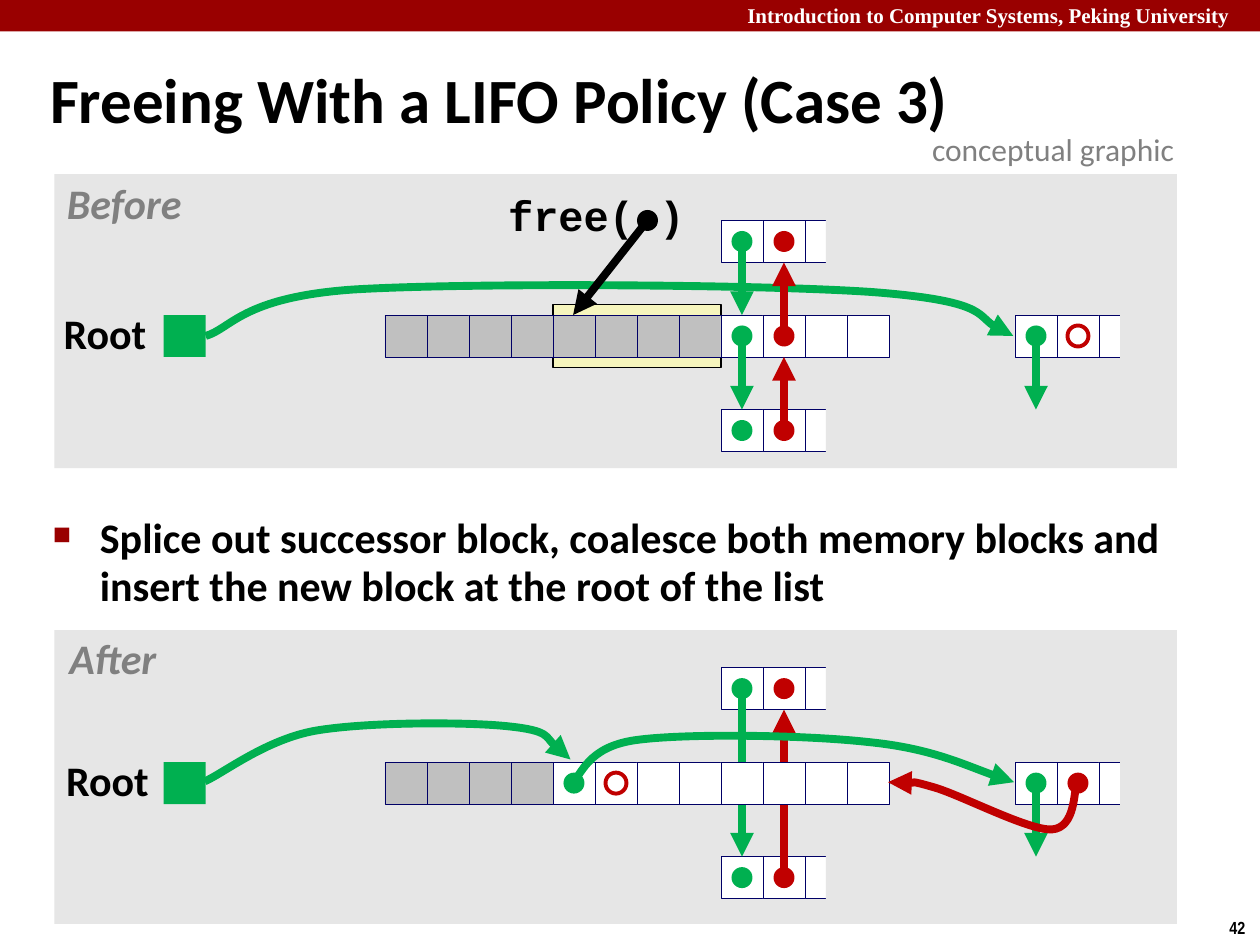
from lxml import etree
from pptx import Presentation, util as u
from pptx.dml.color import RGBColor
from pptx.enum import shapes, text
from pptx.oxml import ns

WHITE = RGBColor(0xFF, 0xFF, 0xFF)
BLACK = RGBColor(0x00, 0x00, 0x00)
MAROON = RGBColor(0x99, 0x00, 0x00)
PANEL = RGBColor(0xE6, 0xE6, 0xE6)
USED = RGBColor(0xC0, 0xC0, 0xC0)
MUTED = RGBColor(0x80, 0x80, 0x80)
YELLOW = RGBColor(0xF6, 0xF5, 0xBD)
NAVY = RGBColor(0x00, 0x00, 0x66)
GREEN = RGBColor(0x00, 0xB0, 0x50)
RED = RGBColor(0xC0, 0x00, 0x00)
RECT, OVAL = shapes.MSO_SHAPE.RECTANGLE, shapes.MSO_SHAPE.OVAL

CELL, DOT, STEP = 24, 12, 54  # memory cell, pointer dot, distance between rows
NEXT, OLD_HEAD, ROOT_X = 8, 15, 93.5  # columns of linked blocks, left of root
X = [220 + CELL * col for col in range(18)]
MID = [x + CELL / 2 for x in X]

deck = Presentation()
deck.slide_width, deck.slide_height = u.Pt(720), u.Pt(540)
page = deck.slides.add_slide(deck.slide_layouts[6])


def draw(kind, bounds, fill=None, line=None, width=0.25, parent=page):
    shape = parent.shapes.add_shape(kind, *map(u.Pt, bounds))
    shape.shadow.inherit = False
    if fill is None:
        shape.fill.background()
    else:
        shape.fill.solid()
        shape.fill.fore_color.rgb = fill
    if line is None:
        shape.line.fill.background()
    else:
        shape.line.color.rgb = line
        shape.line.width = u.Pt(width)


def arrow(points, color):
    """Two points give a straight arrow, more give a chain of Bezier curves."""
    points = [(u.Pt(x), u.Pt(y)) for x, y in points]
    if len(points) == 2:
        line = page.shapes.add_connector(shapes.MSO_CONNECTOR.STRAIGHT, *points[0], *points[1])
    else:
        builder = page.shapes.build_freeform(*points[0])
        builder.add_line_segments(points[1:], close=False)
        line = builder.convert_to_shape()
        line.fill.background()
        track = next(line._element.iter(ns.qn("a:path")))
        for index, segment in enumerate(track.findall(ns.qn("a:lnTo"))):
            if index % 3 == 0:
                curve = etree.SubElement(track, ns.qn("a:cubicBezTo"))
            curve.append(segment[0])
            track.remove(segment)
    line.line.color.rgb = color
    line.line.width = u.Pt(4.5)
    props = line._element.spPr
    etree.SubElement(props.find(ns.qn("a:ln")), ns.qn("a:tailEnd"), type="triangle")
    etree.SubElement(props, ns.qn("a:effectLst"))


# Header band and panels
draw(RECT, (0, 0, 720, 18), MAROON)
for top in (360, 99.5):
    draw(RECT, (31, top, 641.5, 168), PANEL)

# Block being freed, and the list's first link before
draw(RECT, (X[4], 174, 4 * CELL, 36), YELLOW, BLACK, 0.75)
arrow([(117.5, 192), (132, 188), (138, 170), (201.5, 165.5), (265.5, 161.5),
       (436.5, 162.5), (499.5, 167), (562.5, 172), (562.5, 187), (579, 192)], GREEN)

# Memory rows, linked blocks and straight pointers
for row_y, used, spliced in ((180, 8, False), (435.5, 4, True)):
    middle, above, below = row_y + CELL / 2, row_y - STEP, row_y + STEP
    for col, y in ((NEXT, above), (NEXT, below), (OLD_HEAD, row_y)):
        block = page.shapes.add_group_shape()
        for cell in range(3):
            draw(RECT, (X[col + cell], y, CELL, CELL), WHITE, NAVY, parent=block)
        draw(RECT, (MID[col + 2], y - 6, CELL, 36), PANEL, parent=block)

    if spliced:  # pointers pass behind the row
        arrow([(MID[NEXT], above + DOT), (MID[NEXT], below)], GREEN)
        arrow([(MID[NEXT + 1], below + DOT), (MID[NEXT + 1], above + CELL)], RED)
    for col in range(12):
        draw(RECT, (X[col], row_y, CELL, CELL), USED if col < used else WHITE, NAVY)
    if not spliced:
        for y in (above, row_y):
            arrow([(MID[NEXT], y + DOT), (MID[NEXT], y + STEP)], GREEN)
            arrow([(MID[NEXT + 1], y + STEP + DOT), (MID[NEXT + 1], y + CELL)], RED)
    arrow([(MID[OLD_HEAD], middle), (MID[OLD_HEAD], below)], GREEN)
    draw(RECT, (ROOT_X, row_y, CELL, CELL), GREEN)

    # Pointer dots; a ring is a null pointer
    head = 4 if spliced else OLD_HEAD
    dots = [(NEXT, above, GREEN), (NEXT + 1, above, RED),
            (NEXT, below, GREEN), (NEXT + 1, below, RED), (OLD_HEAD, row_y, GREEN)]
    if spliced:
        dots += [(head, row_y, GREEN), (OLD_HEAD + 1, row_y, RED)]
    else:
        dots += [(NEXT, row_y, GREEN), (NEXT + 1, row_y, RED)]
    for col, y, color in dots:
        draw(OVAL, (X[col] + 6, y + 6, DOT, DOT), color)
    draw(OVAL, (X[head + 1] + 6, row_y + 6, DOT, DOT), None, RED, 2.25)

# Curved pointers after
arrow([(117, 446.5), (127.5, 442), (152, 422.5), (180.5, 417.5), (210, 412.5),
       (266.5, 412.5), (290, 415), (314.5, 417.5), (319, 430), (326, 434)], GREEN)
arrow([(327, 447), (332.5, 443.5), (335, 427), (363, 423), (391, 419),
       (459.5, 420), (495.5, 424), (531.5, 427.5), (562.5, 442), (579.5, 447)], GREEN)
arrow([(615.5, 447), (613.5, 451.5), (615, 473), (601, 474), (587.5, 474.5),
       (549.5, 454.5), (534, 450), (518.5, 445.5), (513.5, 448), (507.5, 447)], RED)

# Texts: wording, bounds, frame, paragraph, font, colour
GROW = {"auto_size": text.MSO_AUTO_SIZE.SHAPE_TO_FIT_TEXT}
LOOSE = {"word_wrap": False, **GROW}
TIGHT = {**LOOSE, **{f"margin_{side}": u.Pt(3.6) for side in ("left", "right", "top", "bottom")}}
CENTER = {"alignment": text.PP_ALIGN.CENTER, "line_spacing": 0.9}
LABEL = {"name": "Calibri", "size": u.Pt(24), "bold": True}
BULLET = "Splice out successor block, coalesce both memory blocks and insert the new block at the root of the list"
texts = [
    ("Introduction to Computer Systems, Peking University", (420, -2, 305, 21.5),
     GROW, {}, {"name": "Times New Roman", "size": u.Pt(12), "bold": True}, WHITE),
    ("42", (695.5, 520.5, 24.5, 19.5), LOOSE, {},
     {"name": "Arial Narrow", "size": u.Pt(10), "bold": True}, BLACK),
    ("Freeing With a LIFO Policy (Case 3)", (21.5, 28, 686, 62),
     {"vertical_anchor": text.MSO_ANCHOR.MIDDLE}, {"line_spacing": 0.87},
     {**LABEL, "size": u.Pt(36)}, BLACK),
    (BULLET, (23, 291, 654.5, 62), {}, {"line_spacing": 0.95}, LABEL, BLACK),
    ("free( )", (286.5, 108, 108.5, 34), TIGHT, CENTER, {**LABEL, "name": "Courier New"}, BLACK),
    ("Root", (32.5, 175.5, 55, 34), TIGHT, CENTER, LABEL, BLACK),
    ("Root", (34, 431, 55, 34), TIGHT, CENTER, LABEL, BLACK),
    ("Before", (34, 101, 74, 34), TIGHT, CENTER, {**LABEL, "italic": True}, MUTED),
    ("After", (35.5, 361, 58, 34), TIGHT, CENTER, {**LABEL, "italic": True}, MUTED),
    ("conceptual graphic", (525.5, 70.5, 156, 29), LOOSE, {},
     {"name": "Calibri", "size": u.Pt(18)}, MUTED),
]
for words, bounds, frame_format, para_format, font_format, color in texts:
    box = page.shapes.add_textbox(*map(u.Pt, bounds))
    frame = box.text_frame
    para = frame.paragraphs[0]
    span = para.add_run()
    span.text = words
    for target, values in ((frame, {"word_wrap": True, **frame_format}),
                           (para, para_format), (span.font, font_format)):
        for name, value in values.items():
            setattr(target, name, value)
    span.font.color.rgb = color
    if words == BULLET:
        props = para._p.get_or_add_pPr()
        props.set("marL", str(u.Pt(27)))
        props.set("indent", str(u.Pt(-27)))
        bullet_color = etree.SubElement(props, ns.qn("a:buClr"))
        etree.SubElement(bullet_color, ns.qn("a:srgbClr"), val=str(MAROON))
        etree.SubElement(props, ns.qn("a:buSzPct"), val="60000")
        etree.SubElement(props, ns.qn("a:buChar"), char="■")

# Pointer passed to free()
draw(OVAL, (364, 120, DOT, DOT), BLACK)
arrow([(370, 126), (327.5, 180)], BLACK)

deck.save("out.pptx")
